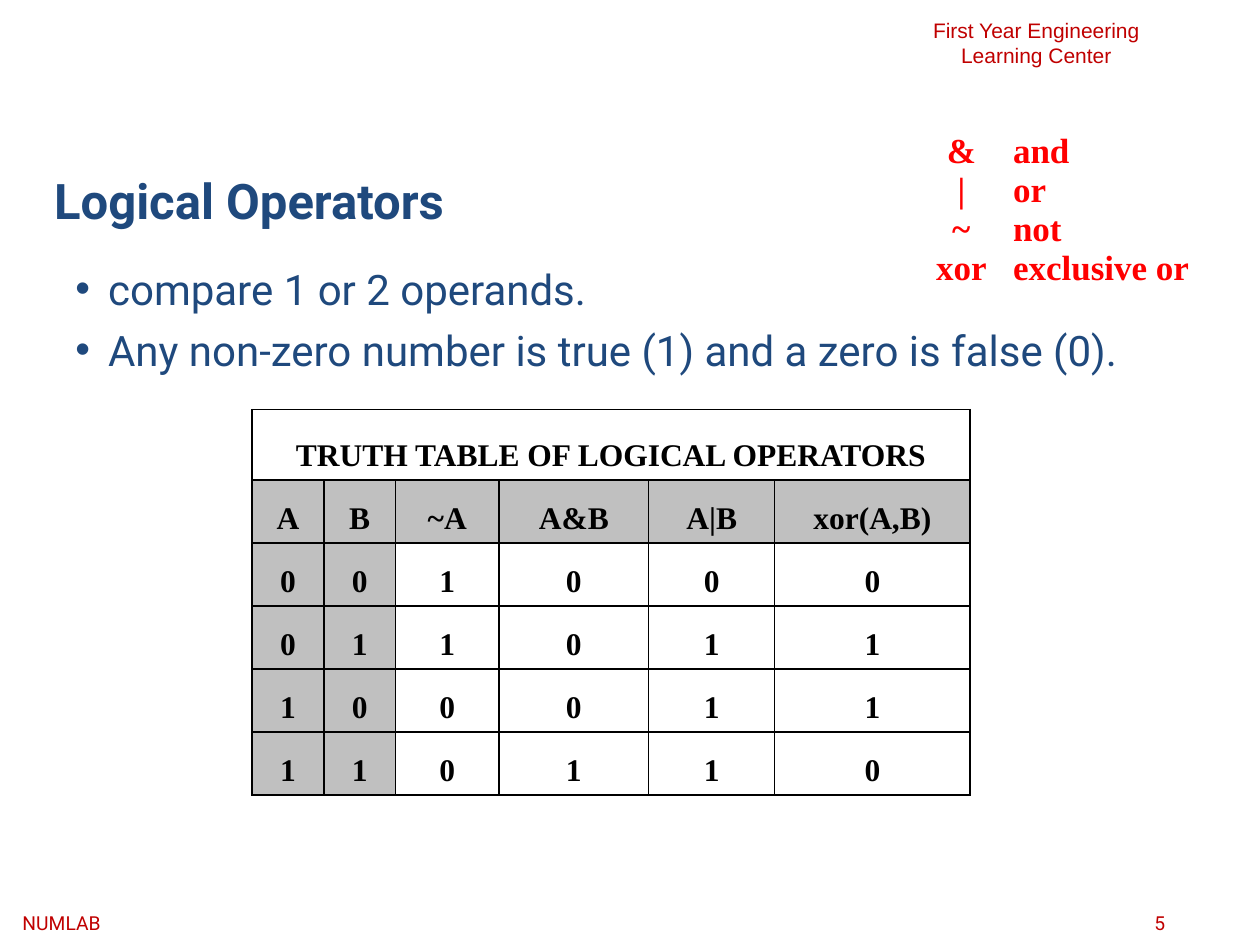
from dataclasses import dataclass

import pptx
import pptx.dml.color
import pptx.enum.text
import pptx.oxml
import pptx.oxml.ns
import pptx.util
from pptx.util import Inches

ALIGN = pptx.enum.text.PP_ALIGN
ANCHOR = pptx.enum.text.MSO_ANCHOR


@dataclass(frozen=True)
class Style:
    font: str
    size: int
    color: str
    bold: bool = False


@dataclass(frozen=True)
class Theme:
    title: Style = Style("Roboto", 28, "1F497D", True)
    body: Style = Style("Roboto", 24, "1F497D")
    header: Style = Style("Arial", 12, "C00000")
    footer: Style = Style("Roboto", 11, "C00000")
    operators: Style = Style("Times New Roman", 20, "FF0000", True)
    table: Style = Style("Times New Roman", 18, "000000", True)
    shade: str = "C0C0C0"
    border: str = "000000"


THEME = Theme()
BULLETS = [
    "compare 1 or 2 operands.",
    "Any non-zero number is true (1) and a zero is false (0).",
]
OPERATORS = [("&", "and"), ("|", "or"), ("~", "not"), ("xor", "exclusive or")]
TRUTH_HEADINGS = ["A", "B", "~A", "A&B", "A|B", "xor(A,B)"]
TRUTH_WIDTHS = [0.57, 0.57, 0.82, 1.19, 1, 1.55]


def rgb(color):
    return pptx.dml.color.RGBColor.from_string(color)


def xml(tag, attrs="", inner=""):
    ns = pptx.oxml.ns.nsdecls("a")
    return pptx.oxml.parse_xml(f"<a:{tag} {ns} {attrs}>{inner}</a:{tag}>")


def add_run(p, text, style):
    r = p.add_run()
    r.text = text
    r.font.name = style.font
    r.font.size = pptx.util.Pt(style.size)
    r.font.bold = style.bold
    r.font.color.rgb = rgb(style.color)


def set_tabs(p, *stops):
    """Set tab stops given as (inches, alignment code)."""
    inner = "".join(f'<a:tab pos="{Inches(x)}" algn="{a}"/>' for x, a in stops)
    p._p.get_or_add_pPr().append(xml("tabLst", inner=inner))


def set_bullet(p, indent):
    pPr = p._p.get_or_add_pPr()
    pPr.set("marL", str(Inches(indent)))
    pPr.set("indent", str(-Inches(indent)))
    pPr.append(xml("buFont", 'typeface="Arial"'))
    pPr.append(xml("buChar", 'char="•"'))


def paragraphs(tf, count):
    return [tf.paragraphs[0]] + [tf.add_paragraph() for _ in range(count - 1)]


def add_text_box(s, left, top, width, height):
    box = s.shapes.add_textbox(*map(Inches, (left, top, width, height)))
    box.text_frame.word_wrap = True
    return box.text_frame


def add_title(s, text):
    sp = s.shapes.title
    sp.left, sp.top, sp.width, sp.height = map(Inches, (0.33, 1.3, 9.5, 0.9))
    tf = sp.text_frame
    tf.auto_size = pptx.enum.text.MSO_AUTO_SIZE.NONE
    tf.vertical_anchor = ANCHOR.TOP
    p = tf.paragraphs[0]
    p.alignment = ALIGN.LEFT
    add_run(p, text, THEME.title)


def add_header(s, text):
    p = add_text_box(s, 7.17, 0.09, 2.11, 0.5).paragraphs[0]
    p.alignment = ALIGN.CENTER
    add_run(p, text, THEME.header)


def add_footer(s, course, number):
    p = add_text_box(s, 0.08, 7.18, 9.83, 0.29).paragraphs[0]
    set_tabs(p, (9.07, "r"))
    add_run(p, f"{course}\t{number}", THEME.footer)


def add_bullets(s, items):
    tf = add_text_box(s, 0.5, 2.04, 9.33, 3.37)
    for p, item in zip(paragraphs(tf, len(items)), items):
        p.space_before = pptx.util.Pt(6)
        set_bullet(p, 0.26)
        add_run(p, item, THEME.body)


def set_borders(cell, color=None):
    """Give all four sides a 1 pt line, or none when there is no color."""
    tcPr = cell._tc.get_or_add_tcPr()
    fill = "<a:noFill/>"
    if color:
        fill = f'<a:solidFill><a:srgbClr val="{color}"/></a:solidFill>'
    for i, side in enumerate(("lnL", "lnR", "lnT", "lnB")):
        tcPr.insert(i, xml(side, f'w="{pptx.util.Pt(1)}"', fill))


def add_plain_table(s, left, top, widths, heights, border=None):
    """Add a table without banding or fills."""
    frame = s.shapes.add_table(len(heights), len(widths), Inches(left), Inches(top),
                               Inches(sum(widths)), Inches(sum(heights)))
    table = frame.table
    table.first_row = table.horz_banding = False
    for column, width in zip(table.columns, widths):
        column.width = Inches(width)
    for row, height in zip(table.rows, heights):
        row.height = Inches(height)
    for cell in table.iter_cells():
        cell.fill.background()
        set_borders(cell, border)
    return table


def add_operator_key(s):
    table = add_plain_table(s, 7.33, 1, [0.35, 2.32], [1.47, 0.4])
    cell = table.cell(0, 0)
    cell.merge(table.cell(0, 1))
    lines = paragraphs(cell.text_frame, len(OPERATORS))
    for p, (symbol, meaning) in zip(lines, OPERATORS):
        set_tabs(p, (0.2, "ctr"), (0.61, "l"))
        add_run(p, f"\t{symbol}\t{meaning}", THEME.operators)


def fill_truth_cell(cell, text):
    cell.vertical_anchor = ANCHOR.BOTTOM
    p = cell.text_frame.paragraphs[0]
    p.alignment = ALIGN.CENTER
    add_run(p, text, THEME.table)


def truth_rows():
    for a in (0, 1):
        for b in (0, 1):
            yield [a, b, 1 - a, a & b, a | b, a ^ b]


def add_truth_table(s):
    rows = [TRUTH_HEADINGS, *truth_rows()]
    heights = [0.56] + [0.5] * len(rows)
    table = add_plain_table(s, 2, 3.25, TRUTH_WIDTHS, heights, THEME.border)
    heading = table.cell(0, 0)
    heading.merge(table.cell(0, len(TRUTH_WIDTHS) - 1))
    fill_truth_cell(heading, "TRUTH TABLE OF LOGICAL OPERATORS")
    for i, row in enumerate(rows, start=1):
        for j, value in enumerate(row):
            cell = table.cell(i, j)
            fill_truth_cell(cell, str(value))
            if i == 1 or j < 2:
                cell.fill.solid()
                cell.fill.fore_color.rgb = rgb(THEME.shade)


def main():
    prs = pptx.Presentation()
    prs.slide_width, prs.slide_height = Inches(10), Inches(7.5)
    s = prs.slides.add_slide(prs.slide_layouts.get_by_name("Title Only"))
    add_footer(s, "NUMLAB", 5)
    add_header(s, "First Year Engineering Learning Center")
    add_bullets(s, BULLETS)
    add_title(s, "Logical Operators")
    add_operator_key(s)
    add_truth_table(s)
    prs.save("out.pptx")


if __name__ == "__main__":
    main()
